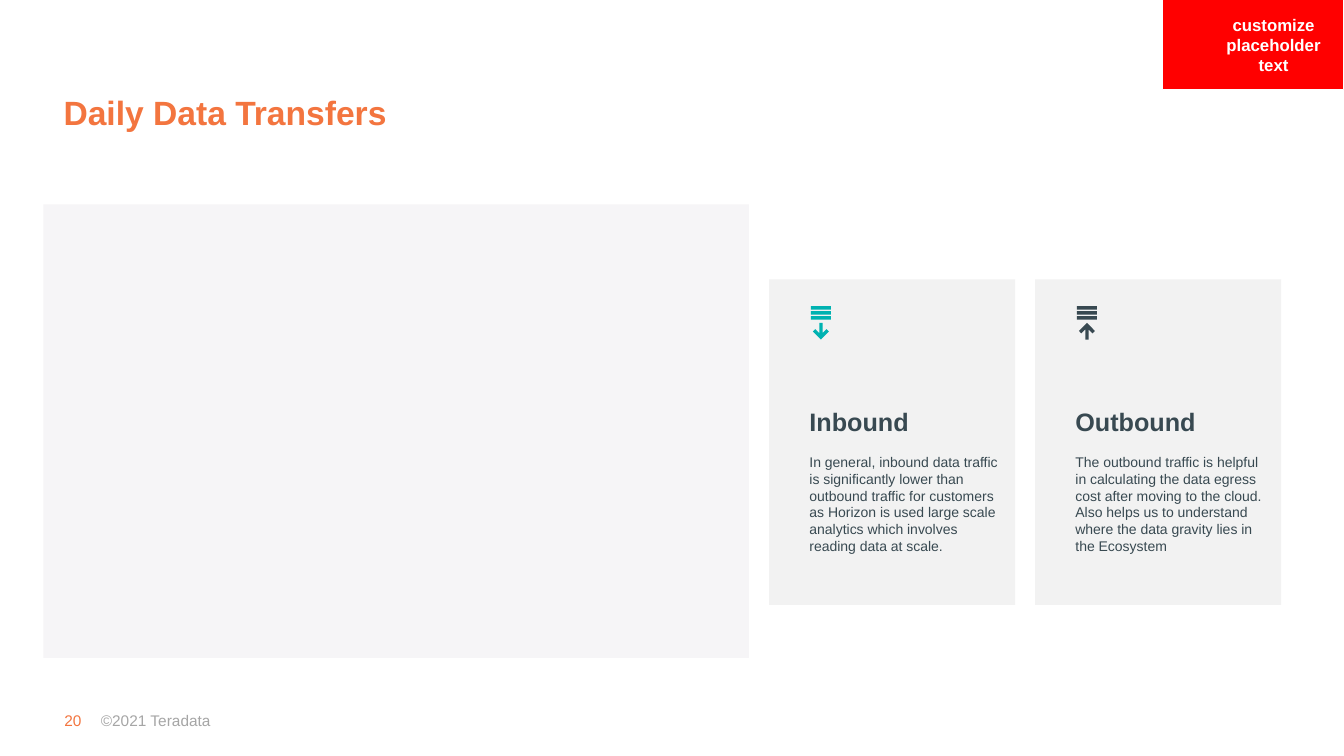
"""Builds the Daily Data Transfers slide with its inbound and outbound cards."""
from pptx import Presentation
from pptx.dml.color import RGBColor
from pptx.enum.shapes import MSO_SHAPE as SHAPE
from pptx.enum.text import MSO_ANCHOR as ANCHOR, PP_ALIGN as ALIGN
from pptx.util import Pt

COLORS = {"orange": "F3753F", "gray": "A6A6A6", "red": "FF0000", "white": "FFFFFF",
          "panel": "F6F5F7", "card": "F2F2F2", "slate": "384951", "teal": "00B2B1"}


def paint(shape, color):
    shape.shadow.inherit = False
    shape.fill.solid()
    shape.fill.fore_color.rgb = RGBColor.from_string(COLORS[color])
    shape.line.fill.background()
    return shape


def write(shape, lines, margins, anchor, wrap=True):
    frame = shape.text_frame
    frame.word_wrap = wrap
    frame.vertical_anchor = anchor
    (frame.margin_left, frame.margin_top,
     frame.margin_right, frame.margin_bottom) = map(Pt, margins)
    for i, (text, size, color, bold) in enumerate(lines):
        paragraph = frame.paragraphs[0] if i == 0 else frame.add_paragraph()
        paragraph.text = text
        paragraph.alignment = ALIGN.LEFT
        font = paragraph.font
        font.name, font.size, font.bold = "Arial", Pt(size), bold
        font.color.rgb = RGBColor.from_string(COLORS[color])
    return frame.paragraphs


prs = Presentation()
prs.slide_width, prs.slide_height = Pt(960), Pt(540)
shapes = prs.slides.add_slide(prs.slide_layouts[6]).shapes
FLUSH = (0, 0, 0, 0)

page_number = shapes.add_textbox(Pt(46), Pt(507.6), Pt(14), Pt(13.7))
write(page_number, [("20", 11, "orange", False)], FLUSH, ANCHOR.TOP, wrap=False)
copyright_line = shapes.add_textbox(Pt(72), Pt(504), Pt(137.5), Pt(21))
write(copyright_line, [("©2021 Teradata", 11, "gray", False)], FLUSH, ANCHOR.MIDDLE)
title = shapes.add_textbox(Pt(45.4), Pt(31), Pt(869), Pt(64))
heading = write(title, [("Daily Data Transfers", 24, "orange", True)], FLUSH, ANCHOR.BOTTOM)
heading[0].line_spacing = 0.9

banner = shapes.add_group_shape().shapes
banner_box = paint(banner.add_shape(SHAPE.RECTANGLE, Pt(830.4), 0, Pt(129.6), Pt(64)), "red")
banner_box.line.color.rgb = RGBColor.from_string(COLORS["white"])
banner_box.line.width = Pt(0.75)
banner_text = banner.add_textbox(Pt(864.7), Pt(6.5), Pt(90), Pt(51))
words = [(word, 12, "white", True) for word in ("customize", "placeholder", "text")]
for line in write(banner_text, words, (7.2, 3.6, 7.2, 3.6), ANCHOR.MIDDLE):
    line.alignment = ALIGN.CENTER

paint(shapes.add_shape(SHAPE.RECTANGLE, Pt(31), Pt(146), Pt(504), Pt(324)), "panel")

CARDS = [
    ("Inbound", "In general, inbound data traffic is significantly lower than outbound "
     "traffic for customers as Horizon is used large scale analytics which involves "
     "reading data at scale.", "teal", True),
    ("Outbound", "The outbound traffic is helpful in calculating the data egress cost "
     "after moving to the cloud. Also helps us to understand where the data gravity "
     "lies in the Ecosystem", "slate", False),
]
UP_ARROW = [(0, 0), (5.7, 5.8), (4, 7.5), (1.15, 4.6), (1.15, 12),
            (-1.15, 12), (-1.15, 4.6), (-4, 7.5), (-5.7, 5.8)]
ARROW_TOP, ARROW_HEIGHT = 230.6, 12

for i, (name, description, icon_color, down) in enumerate(CARDS):
    left = 549.4 + i * 190
    card = paint(shapes.add_shape(SHAPE.RECTANGLE, Pt(left), Pt(199.6), Pt(175.7), Pt(232.4)),
                 "card")
    for paragraph in write(card, [(name, 18, "slate", True), (description, 10, "slate", False)],
                           (28.8, 0, 7.2, 36), ANCHOR.BOTTOM):
        paragraph.space_after = Pt(6)
    paragraph.space_before = Pt(6)

    icon = shapes.add_group_shape().shapes
    center = left + 37
    points = [(Pt(center + x), Pt(ARROW_TOP + (ARROW_HEIGHT - y if down else y)))
              for x, y in UP_ARROW]
    arrow = icon.build_freeform(*points[0])
    arrow.add_line_segments(points[1:])
    paint(arrow.convert_to_shape(), icon_color)
    for row in range(3):
        paint(icon.add_shape(SHAPE.RECTANGLE, Pt(center - 7.2), Pt(218.7 + row * 3.6),
                             Pt(14.4), Pt(2.5)), icon_color)

prs.save("out.pptx")
